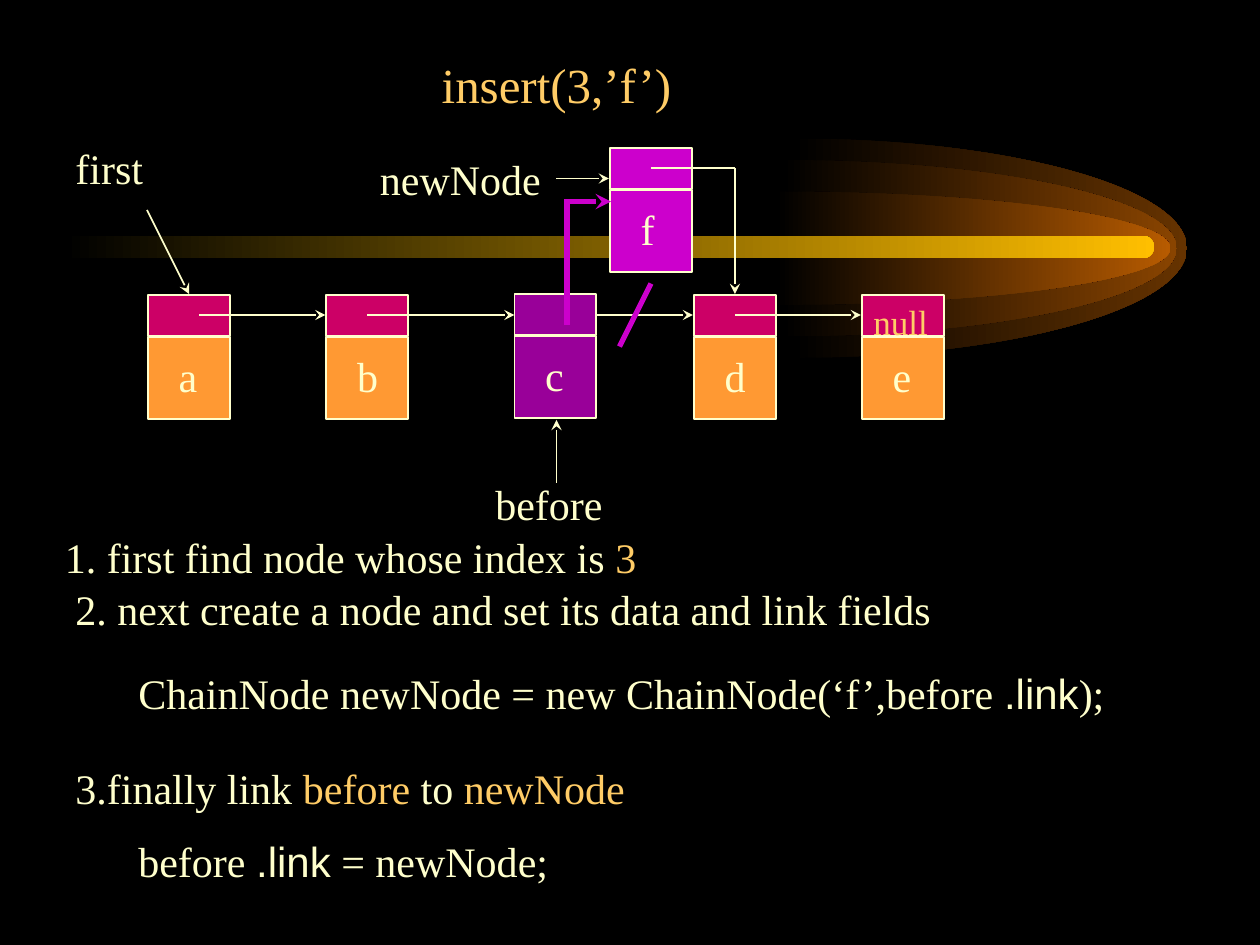
import pptx
import pptx.util
import pptx.dml.color
import pptx.enum.shapes
import pptx.enum.text
import pptx.oxml
import pptx.oxml.ns

CREAM, GOLD, PINK, ORANGE = "FFFFCC", "FFCC66", "CC0066", "FF9933"
BRIGHT, DARK, BLACK = "CC00CC", "990099", "000000"
SERIF, SANS = "Times New Roman", "Arial"

# Content: all places are in grid units of 1/12 inch
UNIT = 1 / 12
INSET = 0.08
TITLE = "insert(3,’f’)"
# left, half height, end colour of each glow layer, in inches
GLOW = [(6.29, 0.87, "663300"), (6.21, 0.7, "894400"), (6.16, 0.45, "B75B00")]
GLOW_MID, GLOW_WIDTH, CURVE = 1.97, 3.13, 0.55
# label, column, row, link colour, data colour
CHAIN = [(name, col + INSET, 28 + INSET, PINK, ORANGE)
         for name, col in (("a", 14), ("b", 31), ("d", 66), ("e", 82))]
NEW = ("f", 58 + INSET, 14 + INSET, BRIGHT, BRIGHT)
BEFORE = ("c", 49, 28, DARK, DARK)
# from, to, colour, width, arrowhead
LINKS = [((x, 30), (end, 30), CREAM, 1, True)
         for x, end in ((19, 31), (35, 49), (54, 66), (70, 82))]
MARKS = [
    ((14, 20), (18, 28), CREAM, 1, True),
    ((62, 16), (70, 16), CREAM, 1, False),
    ((70, 16), (70, 28), CREAM, 1, True),
    ((53, 17), (58, 17), CREAM, 1, True),
    ((53, 46), (53, 40), CREAM, 1, True),
    ((62, 27), (59, 33), BRIGHT, 3, False),
    ((54, 31), (54, 19), BRIGHT, 3, False),
    ((54.2, 19.2), (58.2, 19.2), BRIGHT, 3, True),
]
# column, row, width, height, runs of (text, format changes)
TEXTS = [
    (6, 13, 22, 6, [("first", {})]),
    (35, 14, 20, 6, [("newNode", {})]),
    (46, 45, 24, 6, [("before", {})]),
    (82, 28, 8, 5.2, [("null", {"size": 20, "color": GOLD})]),
    (5, 50, 101, 31, [("1. first find node whose index is ", {}),
                      ("3", {"color": GOLD})]),
    (6, 55, 108, 6, [("2. next create a node and set its data and link fields", {})]),
    (12, 63, 108, 6, [("ChainNode newNode = new ChainNode(‘f’,before ", {}),
                      (".link", {"name": SANS}), (");", {})]),
    (6, 72, 110, 6, [("3.finally link ", {}), ("before ", {"color": GOLD}),
                     ("to ", {}), ("newNode", {"color": GOLD})]),
    (12, 79, 84, 6, [("before ", {}), (".link", {"name": SANS}),
                     (" = newNode;", {})]),
]


def inch(n):
    return pptx.util.Inches(n)


def grid(*cells):
    return [inch(n * UNIT) for n in cells]


def paint(hue):
    return pptx.dml.color.RGBColor.from_string(hue)


def tag(name):
    return pptx.oxml.ns.qn("a:" + name)


def make(code):
    return pptx.oxml.parse_xml(f"<a:{code} {pptx.oxml.ns.nsdecls('a')}/>")


def write(para, runs):
    for text, change in runs:
        run = para.add_run()
        run.text = text
        style = {"name": SERIF, "size": 24, "color": CREAM, **change}
        run.font.color.rgb = paint(style.pop("color"))
        style["size"] = pptx.util.Pt(style["size"])
        for key, value in style.items():
            setattr(run.font, key, value)


def add_text(col, row, width, height, runs, wrap=True):
    box = slide.shapes.add_textbox(*grid(col, row, width, height))
    box.text_frame.word_wrap = wrap
    write(box.text_frame.paragraphs[0], runs)


def add_node(name, col, row, link, data):
    for top, height, hue in ((row + 4, 7.8, data), (row, 3.9, link)):
        box = slide.shapes.add_shape(SHAPE.RECTANGLE, *grid(col, top, 7.8, height))
        box.shadow.inherit = False
        box.fill.solid()
        box.fill.fore_color.rgb = paint(hue)
        box.line.color.rgb = paint(CREAM)
        box.line.width = pptx.util.Pt(1)
    add_text(col + 1.75, row + 4.7, 4.3, 6, [(name, {})], wrap=False)


def add_line(start, end, hue, width, arrow):
    line = slide.shapes.add_connector(
        pptx.enum.shapes.MSO_CONNECTOR.STRAIGHT, *grid(*start, *end))
    line.line.color.rgb = paint(hue)
    line.line.width = pptx.util.Pt(width)
    props = line.element.spPr
    if arrow:
        props.find(tag("ln")).append(make('tailEnd type="stealth"'))
    props.append(make("effectLst"))


def fade(shape, hue):
    shape.shadow.inherit = False
    shape.line.fill.background()
    shape.fill.gradient()
    shape.fill.gradient_angle = 0
    for stop, tone, place in zip(shape.fill.gradient_stops, (BLACK, hue), (0, 1)):
        stop.color.rgb = paint(tone)
        stop.position = place


def add_glow(left, half, hue):
    # Shares of the width and half height: two quarter curves, three points each
    shares = [(0, -1), (CURVE, -1), (1, -CURVE), (1, 0),
              (1, CURVE), (CURVE, 1), (0, 1)]
    spots = [(inch(left + x * GLOW_WIDTH), inch(GLOW_MID + y * half))
             for x, y in shares]
    draft = slide.shapes.build_freeform(*spots[0])
    draft.add_line_segments(spots[1:], close=True)
    shape = draft.convert_to_shape()
    sides = list(shape.element.iter(tag("lnTo")))[:6]
    for trio in (sides[:3], sides[3:]):
        bend = make("cubicBezTo")
        trio[0].addprevious(bend)
        for side in trio:
            bend.append(side[0])
            side.getparent().remove(side)
    fade(shape, hue)


SHAPE = pptx.enum.shapes.MSO_SHAPE
deck = pptx.Presentation()
deck.slide_width, deck.slide_height = inch(10), inch(7.5)
slide = deck.slides.add_slide(deck.slide_layouts[5])
slide.background.fill.solid()
slide.background.fill.fore_color.rgb = paint(BLACK)

# Comet behind the diagram: half ellipses and a bar
for layer in GLOW:
    add_glow(*layer)
bar = slide.shapes.add_shape(
    SHAPE.ROUNDED_RECTANGLE, inch(0.5), inch(1.87), inch(8.66), inch(0.18))
bar.adjustments[0] = 0.5
fade(bar, "FFBF00")

# Title
title = slide.shapes.title
title.left, title.top, title.width, title.height = grid(4, 3, 98, 10)
title.text_frame.vertical_anchor = pptx.enum.text.MSO_ANCHOR.MIDDLE
heading = title.text_frame.paragraphs[0]
heading.alignment = pptx.enum.text.PP_ALIGN.CENTER
write(heading, [(TITLE, {"size": 28, "color": GOLD})])

# Chain with its links, then the nodes that lie on top
for node in CHAIN:
    add_node(*node)
for link in LINKS:
    add_line(*link)
for node in (NEW, BEFORE):
    add_node(*node)
for mark in MARKS:
    add_line(*mark)

# Labels and steps
for text in TEXTS:
    add_text(*text)

deck.save("out.pptx")
